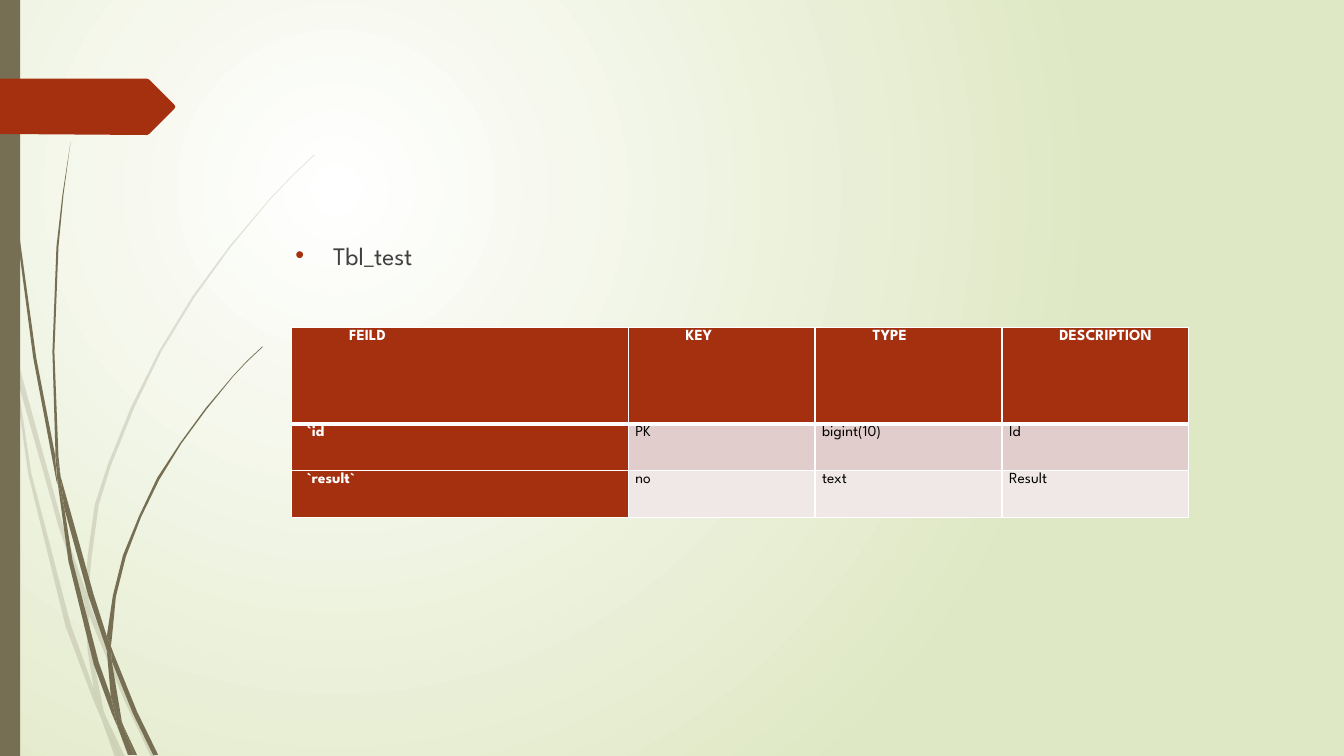
from lxml import etree
from pptx import Presentation
from pptx import util as u
from pptx.dml.color import RGBColor
from pptx.enum import shapes, text
from pptx.oxml.ns import qn

OLIVE = RGBColor(0x76, 0x6F, 0x54)
RUST = RGBColor(0xA5, 0x30, 0x10)
WHITE = RGBColor(0xFF, 0xFF, 0xFF)
BLACK = RGBColor(0, 0, 0)
GREY = RGBColor(0x40, 0x40, 0x40)
PALE_GREEN = RGBColor(0xDF, 0xE8, 0xC4)
BAND_DARK = RGBColor(0xE1, 0xCD, 0xCC)
BAND_LIGHT = RGBColor(0xF0, 0xE8, 0xE7)
FONT = "League Spartan"
UNIT = u.Cm(0.0254)  # one step of the outline coordinates

# Outlines as x y pairs, in steps of UNIT
PALE_GRASS = [
    "11 350 9 322 0 282 0 299 10 344",
    "58 522 84 599 85 586 62 520 14 345 17 376",
    "92 607 88 596 88 610 123 694 150 751 155 751 127 692",
    "119 751 124 751 105 711",
    "93 683 70 619 31 469 17 376 11 350 28 470 65 621 92 693 101 714 99 707",
    "84 599 87 646 93 683 96 692 105 711 103 706 91 646 88 610 88 608",
    "88 584 91 552 98 501 110 462 133 405 160 349 193 295 229 245 268 198 290 175 312 154 "
    "312 153 289 175 268 197 228 244 191 294 158 348 130 404 107 461 94 501 87 552 85 584 "
    "85 586 88 596",
    "101 714 114 751 119 751",
    "88 608 88 610 88 596 85 586 84 599",
    "96 692 93 683 99 707 101 714 119 751 105 711",
]
DARK_GRASS = [
    "7 110 17 233 33 355 56 477 57 481 55 457 55 453 36 355 19 232 8 109 5 48 4 0 3 0 4 48",
    "88 592 106 645 106 633 106 631 93 590 60 472 64 505",
    "113 649 110 641 111 656 132 708 152 749 157 749 136 706",
    "110 691 98 657 72 556 64 505 57 477 68 557 93 659 111 708 117 722 116 717",
    "60 472 58 453 54 349 58 245 63 193 70 141 62 193 56 245 52 349 55 449",
    "133 749 136 749 122 719",
    "57 477 64 505 60 472 55 449 55 453",
    "111 633 115 592 125 552 140 513 158 476 180 440 205 406 231 374 245 359 261 344 "
    "260 344 245 358 231 373 204 405 179 439 156 474 138 512 122 551 112 591 106 631 110 641",
    "117 722 127 749 131 749",
    "106 645 110 691 116 706 122 719 121 716 111 656 109 651",
    "106 645 109 651 111 656 110 641 106 631 106 633",
    "116 706 110 691 116 717 117 722 130 749 133 749 122 719",
]
ARROW = "0 78 146 78 148 79 173 104 174 106 173 108 148 133 146 134 0 133"


def paint(sp, color):
    sp.shadow.inherit = False
    sp.fill.solid()
    sp.fill.fore_color.rgb = color
    sp.line.fill.background()


def add_outline(tree, outline, color):
    n = [int(v) for v in outline.split()]
    points = list(zip(n[::2], n[1::2]))
    builder = tree.build_freeform(*points[0], scale=UNIT)
    builder.add_line_segments(points[1:], close=True)
    sp = builder.convert_to_shape()
    paint(sp, color)
    return sp


prs = Presentation()
prs.slide_width, prs.slide_height = u.Cm(33.87), u.Cm(19.05)
s = prs.slides.add_slide(prs.slide_layouts[1])
title, body = s.placeholders
title.element.getparent().remove(title.element)

# Background: circular gradient centred in the upper left quarter
fill = s.background.fill
fill.gradient()
for stop, color in zip(fill.gradient_stops, (WHITE, PALE_GREEN)):
    stop.color.rgb = color
fill.gradient_stops[0].position = 0
fill.gradient_stops[1].position = 1
grad = s.element.find(".//" + qn("a:gradFill"))
grad.remove(grad.find(qn("a:lin")))
circle = etree.SubElement(grad, qn("a:path"), path="circle")
etree.SubElement(circle, qn("a:fillToRect"), l="50000", t="50000", r="100000", b="100000")

# Grass on the left, the pale tuft behind the dark one
for outlines, opacity in ((PALE_GRASS, 20), (DARK_GRASS, 100)):
    tuft = s.shapes.add_group_shape()
    for outline in outlines:
        sp = add_outline(tuft.shapes, outline, OLIVE)
        if opacity < 100:
            clr = sp.element.spPr.find(qn("a:solidFill"))[0]
            etree.SubElement(clr, qn("a:alpha"), val=str(opacity * 1000))

# Side bar and arrow tab
bar = s.shapes.add_shape(shapes.MSO_SHAPE.RECTANGLE, 0, 0, u.Cm(0.51), prs.slide_height)
paint(bar, OLIVE)
add_outline(s.shapes, ARROW, RUST)

# Bulleted table name
body.left, body.top, body.width, body.height = u.Cm(7.19), u.Cm(5.92), u.Cm(24.77), u.Cm(10.49)
tf = body.text_frame
tf.text = "Tbl_test"
tf.auto_size = text.MSO_AUTO_SIZE.NONE
tf.vertical_anchor = text.MSO_ANCHOR.TOP
p = tf.paragraphs[0]
p.space_before = u.Pt(10)
p.font.size, p.font.name, p.font.color.rgb = u.Pt(18), FONT, GREY
pPr = p._p.get_or_add_pPr()
pPr.set("marL", str(u.Cm(0.95)))
pPr.set("indent", str(u.Cm(-0.95)))
bullet = [etree.Element(qn("a:buClr")),
          etree.Element(qn("a:buFont"), typeface="Arial"),
          etree.Element(qn("a:buChar"), char="•")]
etree.SubElement(bullet[0], qn("a:srgbClr"), val=str(RUST))
place = pPr.index(pPr.find(qn("a:defRPr")))
pPr[place:place] = bullet

# Field table
ROWS = [
    ["FEILD", "KEY", "TYPE", "DESCRIPTION"],
    ["`id", "PK", "bigint(10)", "Id"],
    ["`result`", "no", "text", "Result"],
]
WIDTHS = [8.48, 4.71, 4.71, 4.71]
HEIGHTS = [2.42, 1.18, 1.18]
BANDS = [RUST, BAND_DARK, BAND_LIGHT]
table = s.shapes.add_table(3, 4, u.Cm(7.35), u.Cm(8.26),
                           u.Cm(sum(WIDTHS)), u.Cm(sum(HEIGHTS))).table
for column, width in zip(table.columns, WIDTHS):
    column.width = u.Cm(width)
for row, height in zip(table.rows, HEIGHTS):
    row.height = u.Cm(height)

for i, row in enumerate(ROWS):
    for j, value in enumerate(row):
        cell = table.cell(i, j)
        heading = i == 0 or j == 0
        cell.margin_left = cell.margin_right = u.Cm(0.18)
        cell.margin_top = cell.margin_bottom = 0
        cell.fill.solid()
        cell.fill.fore_color.rgb = RUST if heading else BANDS[i]
        cell.text = value
        p = cell.text_frame.paragraphs[0]
        p.alignment = text.PP_ALIGN.LEFT if i == 1 else text.PP_ALIGN.JUSTIFY
        p.line_spacing = 1.15
        p.font.size, p.font.name, p.font.bold = u.Pt(11), FONT, heading
        p.font.color.rgb = WHITE if heading else BLACK
        if heading:
            p._p.get_or_add_pPr().set("marL", str(u.Cm(1.27 if i == 0 else 0.2)))
        # White borders, thick under the header row
        thick = {"lnB": i == 0, "lnT": i == 1}
        tcPr = cell._tc.get_or_add_tcPr()
        for k, side in enumerate(("lnL", "lnR", "lnT", "lnB")):
            ln = etree.Element(qn("a:" + side), w=str(u.Pt(3 if thick.get(side) else 1)))
            solid = etree.SubElement(ln, qn("a:solidFill"))
            etree.SubElement(solid, qn("a:srgbClr"), val=str(WHITE))
            tcPr.insert(k, ln)

prs.save("out.pptx")
